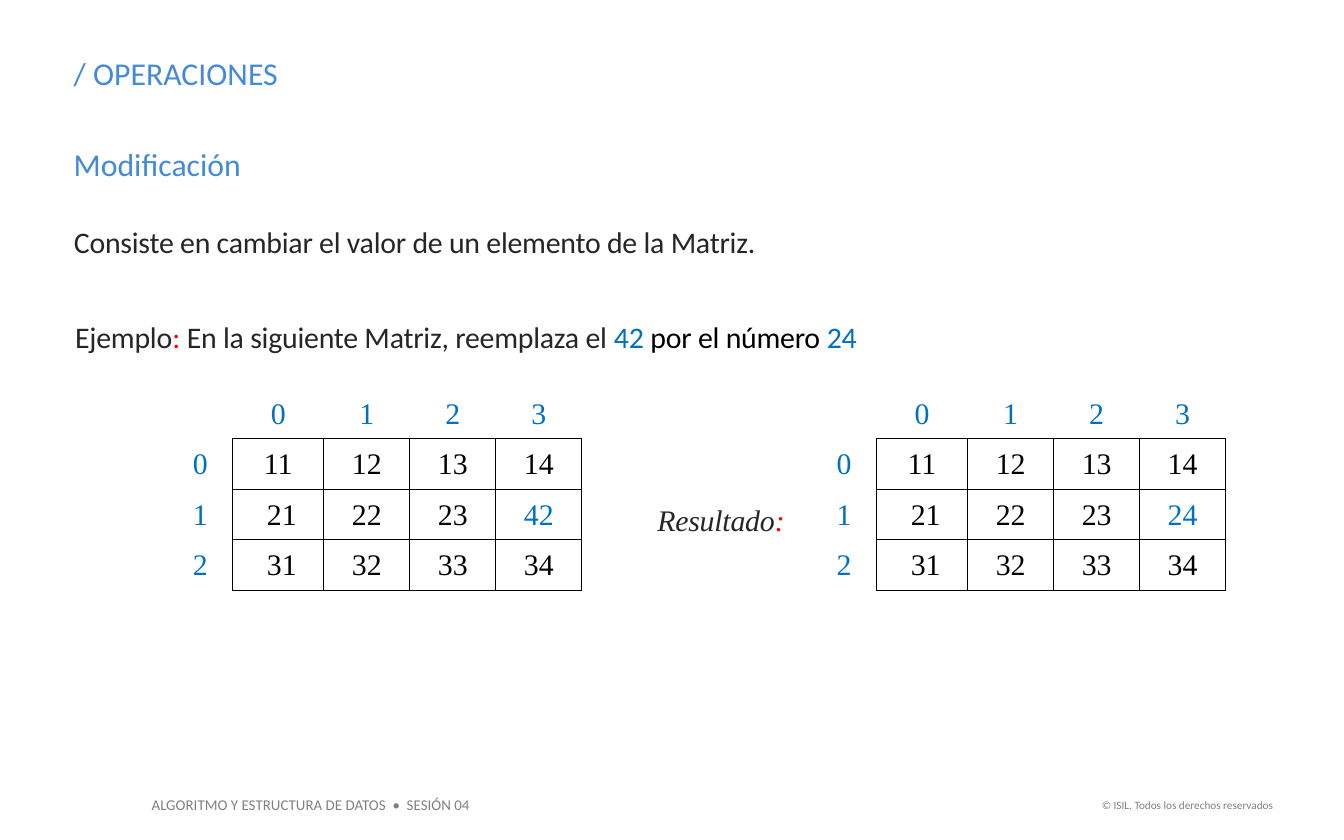
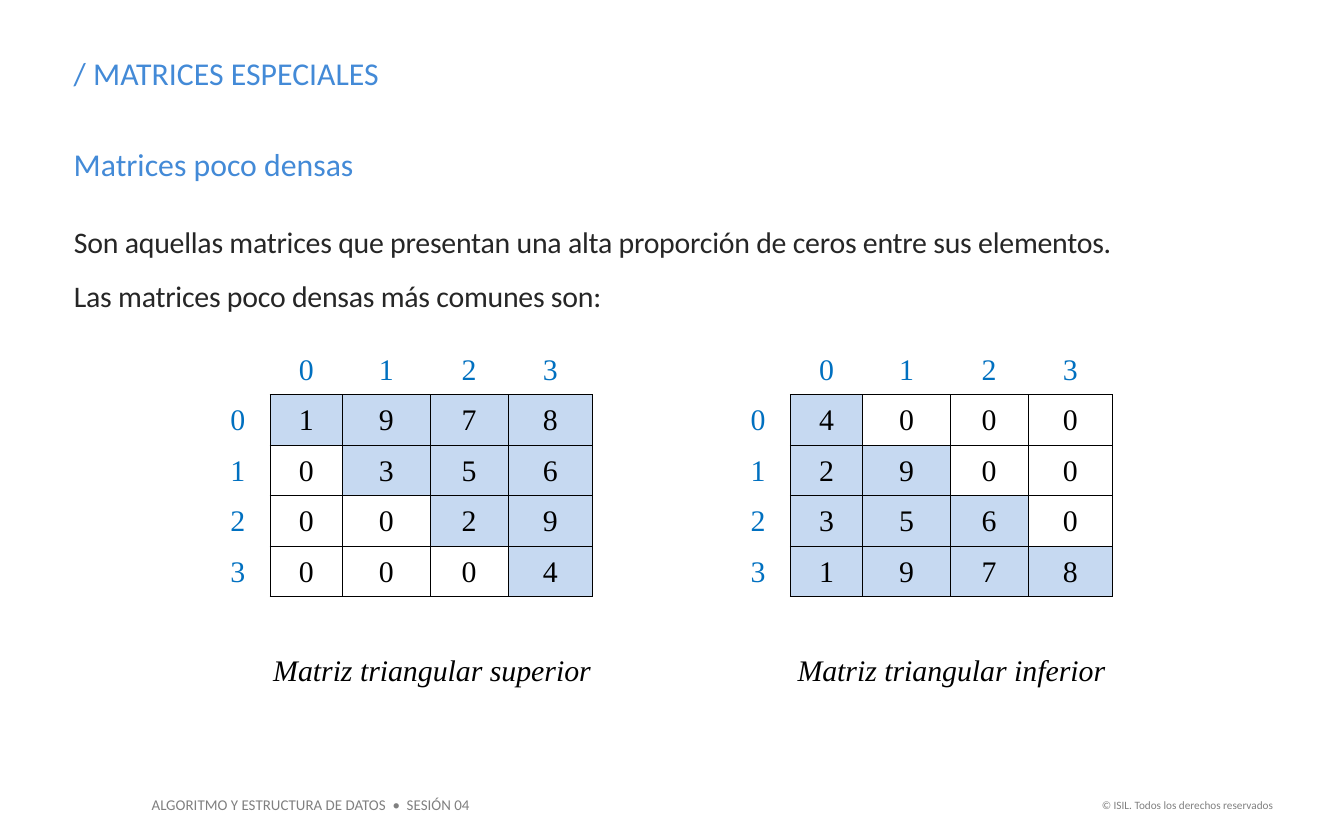
from lxml import etree
from pptx import Presentation
from pptx.dml.color import RGBColor
from pptx.enum import text as tx
from pptx.oxml.ns import qn
from pptx.util import Inches, Pt

INK = {
    "title": "438AD7",
    "body": "262626",
    "index": "0070C0",
    "mark": "FF0000",
    "foot": "808080",
    "black": "000000",
    "cell": "C6D9F1",
}
SANS, SERIF = "Calibri", "Times New Roman"
PLAIN = "{2D5ABB26-0587-4C30-8999-92F81FD0307C}"  # table style: no fill, no grid
LEFT, MID, RIGHT = tx.PP_ALIGN.LEFT, tx.PP_ALIGN.CENTER, tx.PP_ALIGN.RIGHT


def write(slide, box, lines, size, font=SANS, align=LEFT, wrap=True, loose=False, italic=False):
    """Add a text box; each line is a list of (text, colour) runs.

    Loose text has no insets, 1.5 line spacing and slightly tight letters.
    """
    frame = slide.shapes.add_textbox(*map(Inches, box)).text_frame
    frame.word_wrap = wrap
    frame.auto_size = tx.MSO_AUTO_SIZE.SHAPE_TO_FIT_TEXT
    if loose:
        frame.margin_left = frame.margin_right = 0
        frame.margin_top = frame.margin_bottom = 0
    for n, line in enumerate(lines):
        para = frame.add_paragraph() if n else frame.paragraphs[0]
        para.alignment = align
        if loose:
            para.line_spacing = 1.5
            para._p.get_or_add_pPr().set("marL", str(Inches(0.01)))
        for words, ink in line:
            run = para.add_run()
            run.text = words
            run.font.name, run.font.size = font, Pt(size)
            run.font.italic = italic
            run.font.color.rgb = RGBColor.from_string(INK[ink])
            if loose:
                run._r.get_or_add_rPr().set("spc", "-10")


def matrix(slide, left, top, height, widths, rows, blue=(), shade=None):
    """Add a grid with blue row and column indices around the values.

    blue holds (row, column) values written in blue; shade(row, column)
    tells which values have a filled cell.
    """
    frame = slide.shapes.add_table(
        len(rows) + 1, len(widths), Inches(left), Inches(top),
        Inches(sum(widths)), Inches(height))
    frame.element.find(".//" + qn("a:tableStyleId")).text = PLAIN
    table = frame.table
    table.first_row = table.horz_banding = False
    for col, width in zip(table.columns, widths):
        col.width = Inches(width)
    heads = [""] + [str(c) for c in range(len(widths) - 1)]
    grid = [heads] + [[str(r)] + row for r, row in enumerate(rows)]
    for r, line in enumerate(grid):
        for c, value in enumerate(line):
            cell = table.cell(r, c)
            inner = r > 0 and c > 0
            cell.vertical_anchor = tx.MSO_ANCHOR.MIDDLE
            cell.margin_left = cell.margin_right = cell.margin_top = Inches(0.01)
            cell.margin_bottom = 0

            sides = "LRTB" if inner else "B" if c else "R" if r else ""
            for side in sides:
                edge = etree.SubElement(
                    cell._tc.get_or_add_tcPr(), qn("a:ln" + side), w=str(Pt(0.5)))
                fill = etree.SubElement(edge, qn("a:solidFill"))
                etree.SubElement(fill, qn("a:srgbClr"), val=INK["black"])
            if inner and shade and shade(r, c):
                cell.fill.solid()
                cell.fill.fore_color.rgb = RGBColor.from_string(INK["cell"])
            else:
                cell.fill.background()

            if value:
                para = cell.text_frame.paragraphs[0]
                para.alignment = MID
                run = para.add_run()
                run.text = value
                run.font.name, run.font.size = SERIF, Pt(16)
                ink = "black" if inner and (r - 1, c - 1) not in blue else "index"
                run.font.color.rgb = RGBColor.from_string(INK[ink])


deck = Presentation()
deck.slide_width, deck.slide_height = Inches(10), Inches(6.25)

# Footer, title and subtitle
pages = []
for title, topic, width in [
    ("/ OPERACIONES", "Modificación", 2.13),
    ("/ MATRICES ESPECIALES", "Matrices poco densas", 3.32),
]:
    page = deck.slides.add_slide(deck.slide_layouts[6])
    write(page, (1.03, 5.87, 2.58, 0.24),
          [[("ALGORITMO Y ESTRUCTURA DE DATOS  •  SESIÓN 04", "foot")]], 8, wrap=False)
    write(page, (8.07, 5.89, 1.5, 0.2),
          [[("© ISIL. Todos los derechos reservados", "foot")]], 6, align=RIGHT, wrap=False)
    write(page, (0.45, 0.35, 7.88, 0.39), [[(title, "title")]], 17)
    write(page, (0.45, 1.03, width, 0.39), [[(topic, "title")]], 17)
    pages.append(page)
change, sparse = pages

# Slide 1: replacing one value
write(change, (0.54, 1.53, 5.62, 0.4),
      [[("Consiste en cambiar el valor de un elemento de la Matriz.", "body")]], 16, loose=True)
write(change, (0.55, 2.24, 6.93, 0.4), [[
    ("Ejemplo", "body"),
    (":", "mark"),
    (" En la siguiente Matriz, reemplaza el ", "body"),
    ("42 ", "index"),
    ("por el número", "black"),
    (" 24", "index"),
]], 16, loose=True)
for left, value in [(1.25, "42"), (6.04, "24")]:
    rows = [["11", "12", "13", "14"],
            [" 21", "22", "23", value],
            [" 31", "32", "33", "34"]]
    matrix(change, left, 2.89, 1.5, [0.48, 0.68, 0.64, 0.64, 0.64], rows, blue=[(1, 3)])
write(change, (4.72, 3.6, 1.28, 0.36), [[("Resultado", "body"), (":", "mark")]],
      16, SERIF, MID, loose=True, italic=True)

# Slide 2: triangular matrices
write(sparse, (0.54, 1.53, 8.05, 0.81), [
    [("Son aquellas matrices que presentan una alta proporción de ceros entre sus elementos.",
      "body")],
    [("Las matrices poco densas más comunes son:", "body")],
], 16, loose=True)
upper = ["1978", "0356", "0029", "0004"]
lower = ["4000", "2900", "3560", "1978"]
for left, rows, shade, name, start, width in [
    (1.53, upper, lambda r, c: c >= r, "Matriz triangular superior", 1.89, 2.65),
    (5.4, lower, lambda r, c: c <= r, "Matriz triangular inferior", 5.73, 2.7),
]:
    write(sparse, (start, 4.8, width, 0.37), [[(name, "black")]], 16, SERIF, MID, italic=True)
    matrix(sparse, left, 2.56, 1.88, [0.48, 0.54, 0.65, 0.58, 0.63],
           [list(row) for row in rows], shade=shade)

deck.save("out.pptx")
